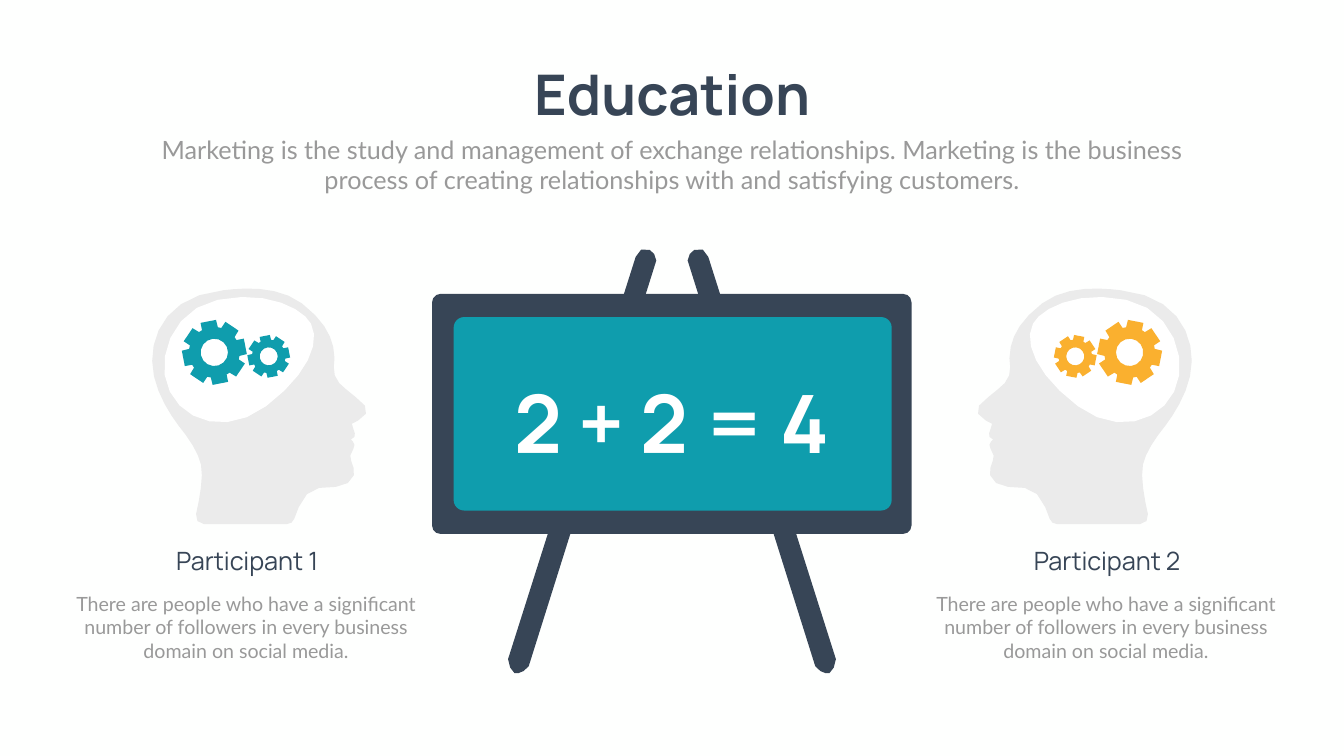
from dataclasses import dataclass
from math import ceil, cos, dist, radians, sin

from pptx import Presentation
from pptx.dml.color import RGBColor
from pptx.enum.shapes import MSO_SHAPE as SHAPE
from pptx.enum.text import MSO_ANCHOR as ANCHOR, MSO_AUTO_SIZE as AUTO, PP_ALIGN as ALIGN
from pptx.util import Cm, Pt

WIDTH, HEIGHT = 67.72, 38.1


@dataclass(frozen=True)
class Theme:
    heading: str = "Manrope"
    body: str = "Lato"
    background: str = "FEFFFE"
    navy: str = "374556"
    teal: str = "0F9DAD"
    amber: str = "FAB02F"
    gray: str = "999999"
    silver: str = "EBEBEB"
    white: str = "FFFFFF"
    title_size: int = 80
    equation_size: int = 115
    label_size: int = 36
    note_size: int = 28


LEG = [
    (26.11, 33.93), (25.93, 33.93),
    (25.78, 33.76, 25.6, 33.58, 25.6, 33.22), (32.03, 12.95),
    (32.18, 12.6, 32.39, 12.42, 32.74, 12.6),
    (32.89, 12.6, 33.07, 12.95, 33.07, 13.13), (26.64, 33.58),
    (26.47, 33.76, 26.29, 33.93, 26.11, 33.93),
]
HEAD = [
    (8.99, 21.44),
    (8.46, 20.73, 7.67, 19.48, 7.67, 18.19),
    (7.65, 16.69, 8.56, 14.88, 11.25, 14.63),
    (12.07, 14.53, 13.94, 14.33, 15.21, 15.29),
    (16.26, 16.1, 16.64, 16.81, 16.79, 17.48),
    (16.97, 18.19, 16.71, 18.44, 16.87, 18.92),
    (17.02, 19.38, 17.4, 19.56, 17.93, 20.02),
    (18.34, 20.37, 18.57, 20.52, 18.44, 20.85),
    (18.26, 21.26, 17.81, 21.18, 17.73, 21.36),
    (17.83, 21.69), (17.88, 21.84), (17.86, 22.02),
    (17.68, 22.15), (17.78, 22.25),
    (17.86, 22.33, 17.91, 22.5, 17.81, 22.61), (17.65, 22.96),
    (17.6, 23.16, 17.93, 23.6, 17.83, 23.95),
    (17.7, 24.46, 17.02, 24.59, 16.08, 24.59),
    (15.37, 24.59, 14.96, 25.73, 14.83, 26.14),
    (14.78, 26.31, 14.63, 26.42, 14.43, 26.42), (10.29, 26.42),
    (10.01, 26.42, 9.8, 26.16, 9.88, 25.91),
    (10.06, 25.12, 10.26, 24.03, 10.13, 23.42),
    (10.01, 22.83, 9.53, 22.1, 8.99, 21.44),
]
BRAIN = [
    (15.67, 16.31),
    (16.18, 17.25, 15.49, 18.9, 13.41, 20.47),
    (11.48, 21.92, 9.32, 21.29, 8.56, 19.74),
    (7.77, 18.21, 8.61, 15.6, 10.97, 15.11),
    (13.56, 14.58, 15.32, 15.62, 15.67, 16.31),
]
GEARS = [(13.54, 17.96, 1.08), (10.8, 17.76, 1.64)]


def flatten(nodes):
    points = [nodes[0]]
    for node in nodes[1:]:
        if len(node) == 2:
            points.append(node)
            continue
        x0, y0 = points[-1]
        x1, y1, x2, y2, x3, y3 = node
        steps = min(6, 1 + ceil(dist((x0, y0), (x3, y3))))
        for i in range(1, steps + 1):
            t = i / steps
            u = 1 - t
            a, b, c, d = u**3, 3 * u * u * t, 3 * u * t * t, t**3
            points.append((a * x0 + b * x1 + c * x2 + d * x3,
                           a * y0 + b * y1 + c * y2 + d * y3))
    return points


def gear(x, y, radius, teeth=8):
    def polar(angle, ratio):
        return (x + radius * ratio * cos(radians(angle)),
                y + radius * ratio * sin(radians(angle)))

    tooth = [(3, 1), (-25, 1), (-29, 0.78), (-37, 0.78)]
    rim = [polar(angle - k * 360 / teeth, ratio)
           for k in range(teeth) for angle, ratio in tooth]
    hole = [polar(angle, 0.42) for angle in range(0, 360, 24)]
    return [rim, hole]


class Board:
    def __init__(self, slide, theme):
        self.s = slide
        self.theme = theme
        fill = slide.background.fill
        fill.solid()
        fill.fore_color.rgb = RGBColor.from_string(theme.background)

    def paint(self, sp, color):
        sp.shadow.inherit = False
        sp.fill.solid()
        sp.fill.fore_color.rgb = RGBColor.from_string(color)
        sp.line.fill.background()

    def panel(self, box, color, radius):
        sp = self.s.shapes.add_shape(SHAPE.ROUNDED_RECTANGLE, *map(Cm, box))
        sp.adjustments[0] = radius / box[3]
        self.paint(sp, color)

    def outline(self, contours, color, mirrored=False):
        builder = None
        for contour in contours:
            pts = [(Cm(WIDTH - x if mirrored else x), Cm(y)) for x, y in contour]
            if builder is None:
                builder = self.s.shapes.build_freeform(*pts[0])
            else:
                builder.move_to(*pts[0])
            builder.add_line_segments(pts[1:], close=True)
        self.paint(builder.convert_to_shape(), color)

    def text(self, box, words, size, font, color, bold=False, wrap=True, sp=None):
        if sp is None:
            sp = self.s.shapes.add_textbox(*map(Cm, box))
        sp.left, sp.top, sp.width, sp.height = map(Cm, box)
        tf = sp.text_frame
        tf.word_wrap = wrap
        tf.auto_size = AUTO.NONE
        tf.vertical_anchor = ANCHOR.MIDDLE
        p = tf.paragraphs[0]
        p.alignment = ALIGN.CENTER
        p.space_before = Pt(0)
        r = p.add_run()
        r.text = words
        r.font.name = font
        r.font.size = Pt(size)
        r.font.bold = bold
        r.font.color.rgb = RGBColor.from_string(color)

    def easel(self, equation):
        t = self.theme
        for mirrored in (False, True):
            self.outline([flatten(LEG)], t.navy, mirrored)
        self.panel((21.77, 14.81, 24.16, 12.1), t.navy, 0.43)
        self.panel((22.86, 15.98, 22.07, 9.75), t.teal, 0.53)
        self.text((24.26, 18.75, 19.2, 4.95), equation, t.equation_size,
                  t.heading, t.white, bold=True)

    def participant(self, name, note, color, mirrored):
        t = self.theme
        self.outline([flatten(HEAD)], t.silver, mirrored)
        self.outline([flatten(BRAIN)], t.white, mirrored)
        for wheel in GEARS:
            self.outline(gear(*wheel), color, mirrored)
        shift = 43.33 if mirrored else 0
        self.text((5.66 + shift, 27.33, 13.59, 1.8), name, t.label_size, t.heading, t.navy)
        self.text((3.53 + shift, 29.67, 17.73, 3.84), note, t.note_size, t.body, t.gray)


def main():
    prs = Presentation()
    prs.slide_width, prs.slide_height = Cm(WIDTH), Cm(HEIGHT)
    s = prs.slides.add_slide(prs.slide_layouts[0])
    t = Theme()
    board = Board(s, t)
    board.text((26.21, 2.84, 15.32, 3.68), "Education", t.title_size, t.heading, t.navy,
               bold=True, wrap=False, sp=s.shapes.title)
    board.text((7.42, 6.63, 52.88, 3.33),
               "Marketing is the study and management of exchange relationships. "
               "Marketing is the business process of creating relationships with "
               "and satisfying customers.",
               t.label_size, t.body, t.gray, sp=s.placeholders[1])
    board.easel("2 + 2 = 4")
    note = ("There are people who have a significant number of followers "
            "in every business domain on social media.")
    board.participant("Participant 1", note, t.teal, mirrored=False)
    board.participant("Participant 2", note, t.amber, mirrored=True)
    prs.save("out.pptx")


if __name__ == "__main__":
    main()
